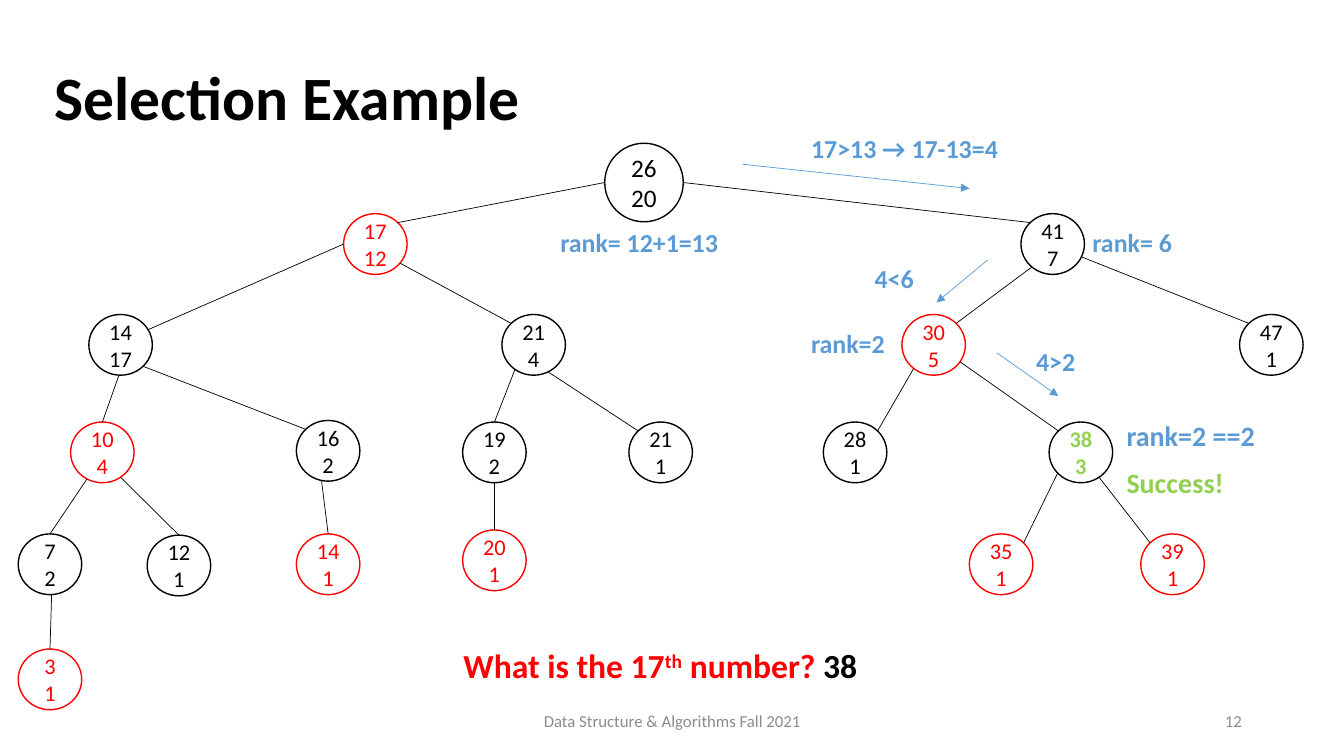
from math import cos, radians, sin

from lxml.etree import SubElement
from pptx import Presentation
from pptx.dml.color import RGBColor
from pptx.enum.shapes import MSO_CONNECTOR, MSO_SHAPE
from pptx.enum.text import MSO_ANCHOR, PP_ALIGN
from pptx.oxml.ns import qn
from pptx.util import Cm, Pt

THEME = {
    "font": "Calibri",
    "black": RGBColor(0x00, 0x00, 0x00),
    "white": RGBColor(0xFF, 0xFF, 0xFF),
    "red": RGBColor(0xFF, 0x00, 0x00),
    "blue": RGBColor(0x5B, 0x9B, 0xD5),
    "green": RGBColor(0x92, 0xD0, 0x50),
    "grey": RGBColor(0x8C, 0x8C, 0x8C),
    "title": Pt(44), "question": Pt(24), "result": Pt(20), "note": Pt(18.5),
    "root": Pt(18), "node": Pt(16), "footer": Pt(12),
}

prs = Presentation()
prs.slide_width, prs.slide_height = Cm(33.87), Cm(19.05)
slide = prs.slides.add_slide(prs.slide_layouts[6])


def add_text(box, lines, size, colors, bold=True, align=PP_ALIGN.LEFT,
             anchor=MSO_ANCHOR.TOP, spacing=None, before=None):
    """Add a text box with one paragraph per line and return its text frame."""
    frame = slide.shapes.add_textbox(*map(Cm, box)).text_frame
    frame.word_wrap = True
    frame.vertical_anchor = anchor
    frame.text = "\n".join(lines)
    for paragraph, color in zip(frame.paragraphs, colors):
        paragraph.alignment = align
        paragraph.line_spacing = spacing
        paragraph.space_before = before
        paragraph.font.name = THEME["font"]
        paragraph.font.size = THEME[size]
        paragraph.font.bold = bold
        paragraph.font.color.rgb = THEME[color]
    return frame


def add_line(start, end, color, arrow=False):
    """Draw a thin straight line between two points in centimetres."""
    line = slide.shapes.add_connector(
        MSO_CONNECTOR.STRAIGHT, *map(Cm, (*start, *end)))
    line.line.color.rgb = THEME[color]
    line.line.width = Pt(0.5)
    if arrow:
        SubElement(line.line._get_or_add_ln(), qn("a:tailEnd"), type="triangle")
    SubElement(line._element.spPr, qn("a:effectLst"))


# Title and footer
add_text((1.12, 0.69, 29.21, 3.68), ["Selection Example"], "title", ["black"],
         anchor=MSO_ANCHOR.MIDDLE, spacing=0.9)
for box, words, align in [
    ((11.23, 17.65, 11.43, 1.02), "Data Structure & Algorithms Fall 2021", PP_ALIGN.CENTER),
    ((23.93, 17.65, 7.62, 1.02), "12", PP_ALIGN.RIGHT),
]:
    add_text(box, [words], "footer", ["grey"], bold=False, align=align,
             anchor=MSO_ANCHOR.MIDDLE)

# Tree nodes: (key, subtree size) -> centre x, centre y, outline, text colour
ROOT = (26, 20)
nodes = {
    ROOT: (16.23, 4.6, "black", "black"),
    (17, 12): (9.46, 6.15, "red", "red"),
    (41, 7): (26.53, 6.15, "black", "black"),
    (14, 17): (3.04, 8.69, "black", "black"),
    (21, 4): (13.45, 8.69, "black", "black"),
    (30, 5): (23.53, 8.69, "red", "red"),
    (47, 1): (32.04, 8.69, "black", "black"),
    (10, 4): (2.58, 11.4, "red", "red"),
    (16, 2): (8.27, 11.36, "black", "black"),
    (19, 2): (12.46, 11.4, "black", "black"),
    (21, 1): (16.65, 11.4, "black", "black"),
    (28, 1): (21.55, 11.4, "black", "black"),
    (38, 3): (27.24, 11.4, "black", "green"),
    (7, 2): (1.26, 14.22, "black", "black"),
    (12, 1): (4.51, 14.25, "black", "black"),
    (14, 1): (8.27, 14.22, "red", "red"),
    (20, 1): (12.46, 14.12, "red", "red"),
    (35, 1): (25.23, 14.22, "red", "red"),
    (39, 1): (29.55, 14.22, "red", "red"),
    (3, 1): (1.26, 17.12, "red", "red"),
}
node_sizes = {node: (1.6, 1.53) for node in nodes} | {ROOT: (1.98, 1.98)}

for node, (x, y, outline, color) in nodes.items():
    width, height = node_sizes[node]
    circle = slide.shapes.add_shape(
        MSO_SHAPE.OVAL, Cm(x - width / 2), Cm(y - height / 2), Cm(width), Cm(height))
    circle.shadow.inherit = False
    circle.fill.solid()
    circle.fill.fore_color.rgb = THEME["white"]
    circle.line.color.rgb = THEME[outline]
    circle.line.width = Pt(1)
    label = circle.text_frame
    label.margin_left = label.margin_right = label.margin_top = label.margin_bottom = 0
    label.vertical_anchor = MSO_ANCHOR.MIDDLE
    label.text = "\n".join(map(str, node))
    for paragraph in label.paragraphs:
        paragraph.alignment = PP_ALIGN.CENTER
        paragraph.font.name = THEME["font"]
        paragraph.font.size = THEME["root" if node == ROOT else "node"]
        paragraph.font.bold = color == "green"
        paragraph.font.color.rgb = THEME[color]

# Tree edges: parent, angle on its rim, child, angle on its rim (clockwise from right)
TOP, TOP_LEFT, TOP_RIGHT = -90, -135, -45
edges = [
    (ROOT, 180, (17, 12), TOP_RIGHT),
    (ROOT, 0, (41, 7), TOP_LEFT),
    ((17, 12), 39, (21, 4), TOP_LEFT),
    ((17, 12), 180, (14, 17), -30),
    ((14, 17), 45, (16, 2), TOP_LEFT),
    ((14, 17), 93, (10, 4), TOP),
    ((16, 2), 102, (14, 1), TOP),
    ((10, 4), 55, (12, 1), TOP),
    ((10, 4), 119, (7, 2), TOP),
    ((7, 2), 87, (3, 1), TOP),
    ((21, 4), 63, (21, 1), TOP_LEFT),
    ((21, 4), 126, (19, 2), TOP),
    ((19, 2), 90, (20, 1), TOP),
    ((41, 7), 25, (47, 1), TOP_LEFT),
    ((41, 7), 131, (30, 5), TOP_RIGHT),
    ((30, 5), 34, (38, 3), TOP_LEFT),
    ((30, 5), 129, (28, 1), TOP_RIGHT),
    ((38, 3), 55, (39, 1), TOP_LEFT),
    ((38, 3), 137, (35, 1), TOP_RIGHT),
]
for parent, leave, child, arrive in edges:
    ends = []
    for node, angle in ((parent, leave), (child, arrive)):
        x, y = nodes[node][:2]
        width, height = node_sizes[node]
        ends.append((x + width / 2 * cos(radians(angle)),
                     y + height / 2 * sin(radians(angle))))
    add_line(*ends, "black")

# Question and answer
question = add_text((11.43, 15.62, 15, 2), ["What is the 17"], "question", ["red"],
                    spacing=1.5, before=Pt(10)).paragraphs[0]
ordinal = question.add_run()
ordinal.text = "th"
ordinal.font._element.set("baseline", "30000")
question.add_run().text = " number? "
answer = question.add_run()
answer.text = "38"
answer.font.color.rgb = THEME["black"]

# Search steps
for left, top, step in [
    (13.87, 5.26, "rank= 12+1=13"),
    (20.19, 2.9, "17>13 → 17-13=4"),
    (27.28, 5.26, "rank= 6"),
    (21.79, 6.17, "4<6"),
    (20.19, 7.82, "rank=2"),
    (25.86, 8.28, "4>2"),
]:
    add_text((left, top, 5.51, 1.4), [step], "note", ["blue"],
             spacing=1.4, before=Pt(10))
add_text((28.14, 10.41, 5.51, 1.4), ["rank=2 ==2", "Success!"], "result",
         ["blue", "green"], before=Pt(10))

# Search path arrows
for start, end in [
    ((18.72, 4.14), (24.43, 4.75)),
    ((24.89, 6.55), (23.6, 7.62)),
    ((25.12, 8.89), (26.67, 9.98)),
]:
    add_line(start, end, "blue", arrow=True)

prs.save("out.pptx")
